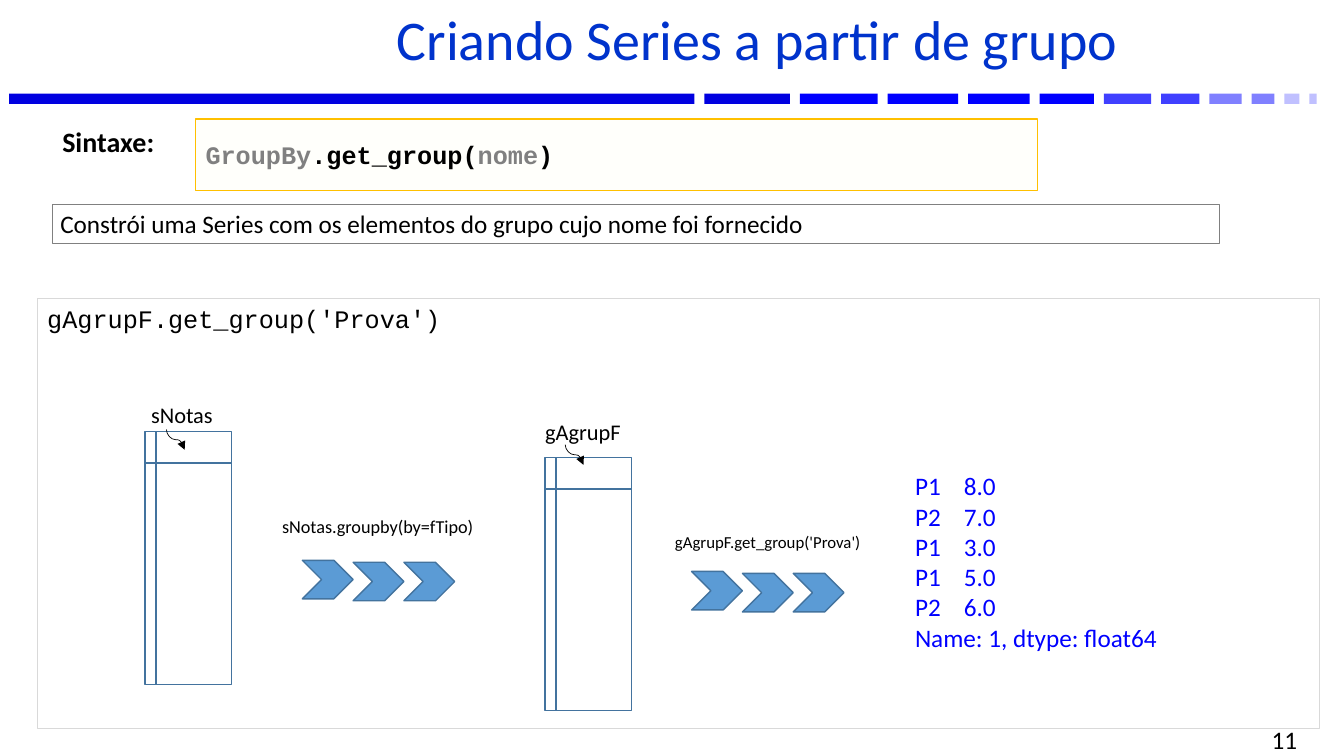
from dataclasses import dataclass

import pptx
import pptx.dml.color
import pptx.enum.shapes
import pptx.enum.text
import pptx.oxml.ns
import pptx.util
from lxml import etree
from pptx.util import Cm

KIND = pptx.enum.shapes.MSO_SHAPE
ALIGN = pptx.enum.text.PP_ALIGN
ANCHOR = pptx.enum.text.MSO_ANCHOR


@dataclass(frozen=True)
class Theme:
    body_font: str = "Calibri"
    code_font: str = "Courier New"
    title: str = "0033CC"
    output: str = "0000FF"
    text: str = "000000"
    muted: str = "808080"
    frame: str = "D9D9D9"
    syntax_fill: str = "FFFFFB"
    syntax_line: str = "FFC000"
    chevron: str = "5B9BD5"
    outline: str = "43739E"
    title_size: float = 40
    heading_size: float = 20
    text_size: float = 18
    label_size: float = 16
    call_size: float = 13
    small_call_size: float = 12


THEME = Theme()
# Widths in cm and colours of the header bars, left to right
BARS = [
    (17.27, "0000E0"), (2.16, "0000E0"), (1.96, "0000FF"), (1.78, "0000FF"),
    (1.55, "0000FF"), (1.37, "0000FF"), (1.19, "4040FF"), (0.97, "4040FF"),
    (0.81, "8080FF"), (0.58, "8080FF"), (0.38, "C0C0FF"), (0.18, "C0C0FF"),
]
BAR_GAP = 0.25
SERIES = [("P1", "8.0"), ("P2", "7.0"), ("P1", "3.0"), ("P1", "5.0"), ("P2", "6.0")]


def rgb(color):
    return pptx.dml.color.RGBColor.from_string(color)


def add_element(parent, tag, **attributes):
    return etree.SubElement(parent, pptx.oxml.ns.qn(tag), attributes)


def add_span(para, text, size, color=THEME.text, font=THEME.body_font, bold=False):
    span = para.add_run()
    span.text = text
    span.font.name = font
    span.font.size = pptx.util.Pt(size)
    span.font.bold = bold
    span.font.color.rgb = rgb(color)


def first_para(box, align=ALIGN.LEFT, anchor=ANCHOR.TOP, insets=(0.25, 0.13)):
    frame = box.text_frame
    frame.word_wrap = True
    frame.vertical_anchor = anchor
    frame.margin_left = frame.margin_right = Cm(insets[0])
    frame.margin_top = frame.margin_bottom = Cm(insets[1])
    para = frame.paragraphs[0]
    para.alignment = align
    return para


def add_box(shapes, place, **layout):
    """Text box; returns its first paragraph."""
    return first_para(shapes.add_textbox(*map(Cm, place)), **layout)


def add_figure(shapes, kind, place, fill=None, line=None, weight=0.75):
    figure = shapes.add_shape(kind, *map(Cm, place))
    figure.shadow.inherit = False
    if fill:
        figure.fill.solid()
        figure.fill.fore_color.rgb = rgb(fill)
    else:
        figure.fill.background()
    if line:
        figure.line.color.rgb = rgb(line)
        figure.line.width = pptx.util.Pt(weight)
    else:
        figure.line.fill.background()
    return figure


def add_pointer(shapes, left, top):
    """Curved arrow that leaves its label downwards."""
    width, height = 0.51, 0.46
    pointer = shapes.add_connector(
        pptx.enum.shapes.MSO_CONNECTOR.CURVE,
        Cm(left), Cm(top), Cm(left + width), Cm(top + height))
    pointer.line.color.rgb = rgb(THEME.text)
    pointer.line.width = pptx.util.Pt(0.5)
    properties = pointer._element.spPr
    properties.xfrm.set("rot", "16200000")
    properties.xfrm.set("flipH", "1")
    add_element(pointer.line._get_or_add_ln(), "a:tailEnd", type="triangle")
    add_element(properties, "a:effectLst")


def add_storage(page, name, left, top, label_place, pointer_place):
    shapes = page.shapes.add_group_shape().shapes
    add_figure(shapes, KIND.FLOWCHART_INTERNAL_STORAGE, (left, top, 2.18, 6.38),
               line=THEME.outline, weight=1)
    add_span(add_box(shapes, label_place), name, THEME.label_size)
    add_pointer(shapes, *pointer_place)


def add_step(page, call, size, call_place, left, top):
    """Method call above three chevrons."""
    add_span(add_box(page.shapes, call_place), call, size)
    shapes = page.shapes.add_group_shape().shapes
    for index, drop in enumerate((0, 0.05, 0.05)):
        add_figure(shapes, KIND.CHEVRON, (left + index * 1.28, top + drop, 1.28, 0.97),
                   THEME.chevron, THEME.outline, 1)


def add_header(page):
    shapes = page.shapes.add_group_shape().shapes
    left = 0.23
    for width, color in BARS:
        add_figure(shapes, KIND.RECTANGLE, (left, 2.36, width, 0.26), color)
        left += width + BAR_GAP
    para = add_box(page.shapes, (4.93, 0.15, 28.3, 1.96),
                   align=ALIGN.CENTER, anchor=ANCHOR.MIDDLE)
    para.line_spacing = 0.8
    add_span(para, "Criando Series a partir de grupo", THEME.title_size, THEME.title)


def add_syntax(page):
    para = add_box(page.shapes, (1.32, 3.02, 3.61, 1.12))
    add_span(para, "Sintaxe:", THEME.heading_size, bold=True)
    box = add_figure(page.shapes, KIND.RECTANGLE, (4.93, 3.0, 21.21, 1.8),
                     THEME.syntax_fill, THEME.syntax_line)
    para = first_para(box, anchor=ANCHOR.MIDDLE, insets=(0.25, 0))
    for text, color in (("GroupBy", THEME.muted), (".get_group(", THEME.text),
                        ("nome", THEME.muted), (")", THEME.text)):
        add_span(para, text, THEME.text_size, color, THEME.code_font, bold=True)
    box = add_figure(page.shapes, KIND.RECTANGLE, (1.32, 5.16, 29.41, 0.97),
                     line=THEME.muted)
    add_span(first_para(box, insets=(0.2, 0.1)),
             "Constrói uma Series com os elementos do grupo cujo nome foi fornecido",
             THEME.text_size)


def add_output(page):
    para = add_box(page.shapes, (22.81, 11.73, 7.52, 4.88))
    frame = page.shapes[-1].text_frame
    for label, value in SERIES:
        tabs = add_element(para._p.get_or_add_pPr(), "a:tabLst")
        add_element(tabs, "a:tab", pos=str(Cm(1.23)), algn="l")
        add_span(para, f"{label}\t{value}", THEME.text_size, THEME.output)
        para = frame.add_paragraph()
    add_span(para, "Name: 1, dtype: float64", THEME.text_size, THEME.output)


def main():
    deck = pptx.Presentation()
    deck.slide_width, deck.slide_height = Cm(33.87), Cm(19.05)
    page = deck.slides.add_slide(deck.slide_layouts[6])

    # Title and syntax
    add_header(page)
    add_syntax(page)

    # Example frame
    box = add_figure(page.shapes, KIND.RECTANGLE, (0.94, 7.52, 32.31, 10.85),
                     line=THEME.frame)
    add_span(first_para(box), "gAgrupF.get_group('Prova')", THEME.text_size,
             font=THEME.code_font)

    # Flow from series to groups to result
    add_storage(page, "sNotas", 3.66, 10.87, (3.56, 9.98, 2.21, 0.94), (4.17, 10.85))
    add_step(page, "sNotas.groupby(by=fTipo)", THEME.call_size,
             (6.86, 12.85, 5.97, 0.81), 7.62, 14.12)
    add_storage(page, "gAgrupF", 13.74, 11.53, (13.49, 10.41, 3.02, 0.94), (14.22, 11.23))
    add_step(page, "gAgrupF.get_group('Prova')", THEME.small_call_size,
             (16.76, 13.26, 5.97, 0.76), 17.43, 14.4)
    add_output(page)

    # Page number
    para = add_box(page.shapes, (25.04, 18.36, 7.9, 0.56),
                   align=ALIGN.RIGHT, anchor=ANCHOR.MIDDLE)
    add_span(para, "11", THEME.text_size)

    deck.save("out.pptx")


if __name__ == "__main__":
    main()
